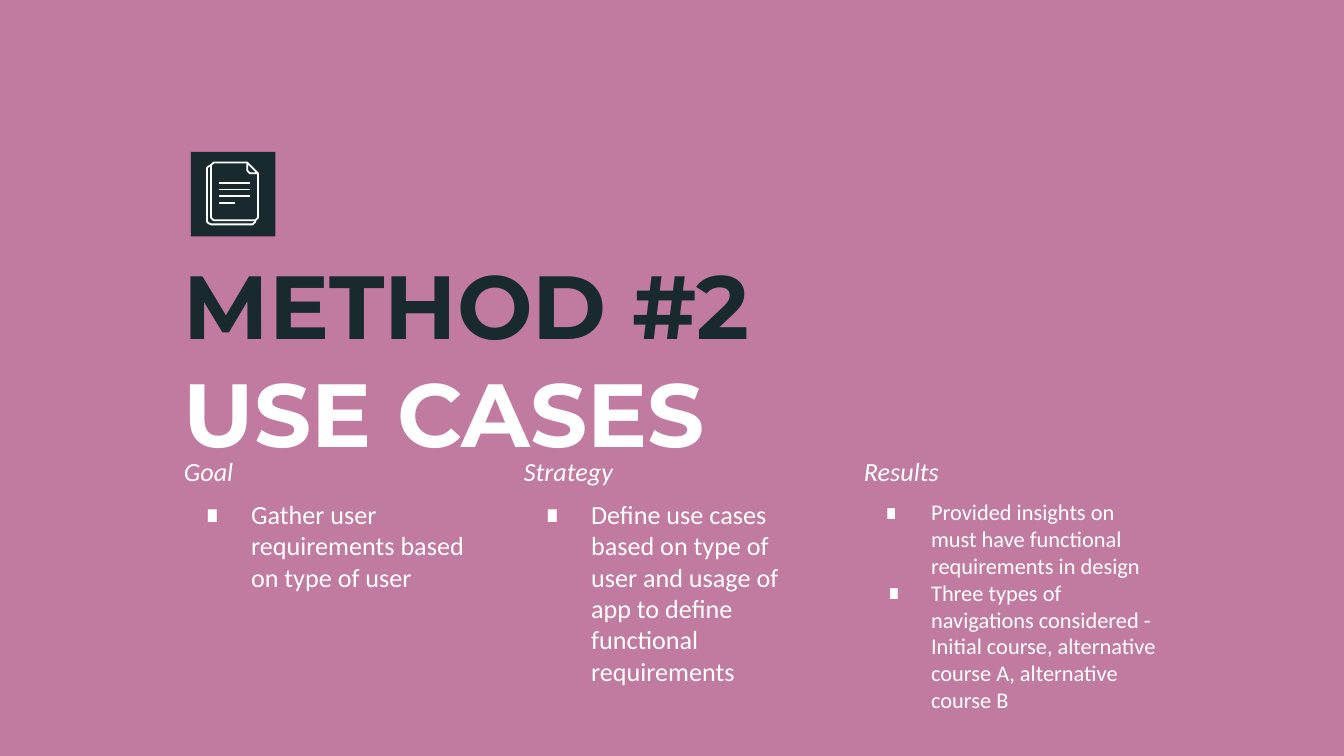
"""Build the slide on method #2, use cases."""
from dataclasses import dataclass

from lxml import etree
from pptx import Presentation
from pptx import util as u
from pptx.dml.color import RGBColor
from pptx.enum import shapes, text
from pptx.oxml import ns


@dataclass(frozen=True)
class Theme:
    back: str = "C27BA0"
    dark: str = "182A2E"
    light: str = "FFFFFF"
    head: str = "Montserrat"
    body: str = "Calibri"
    title: int = 48
    label: int = 14
    small: int = 12
    line: float = 0.96


THEME = Theme()


@dataclass(frozen=True)
class Item:
    words: str
    size: int = THEME.label
    hang: float = 0.35
    space: int = 6


@dataclass(frozen=True)
class Column:
    label: str
    items: tuple[Item, ...]


@dataclass(frozen=True)
class Outline:
    points: tuple[tuple[int, int], ...]
    closed: bool = False


COLUMNS = (
    Column("Goal", (Item("Gather user requirements based on type of user"),)),
    Column("Strategy", (Item("Define use cases based on type of user and usage of app "
                             "to define functional requirements"),)),
    Column("Results", (
        Item("Provided insights on must have functional requirements in design",
             THEME.small),
        Item("Three types of navigations considered - Initial course, "
             "alternative course A, alternative course B", THEME.small, 0.33, 0),
    )),
)
PAGES = (
    Outline(((190, 164), (190, 165), (189, 166), (188, 167), (157, 167), (155, 166),
             (154, 165), (154, 125), (155, 124), (157, 123))),
    Outline(((192, 129), (192, 162), (191, 163), (190, 164), (159, 164), (158, 163),
             (157, 162), (157, 123), (158, 122), (159, 121), (184, 121))),
    Outline(((184, 127), (184, 121), (192, 129), (186, 129), (185, 128)), True),
)
RULES = (1.86, 1.86, 1.86, 1.75)


def color(code: str) -> RGBColor:
    """Turn a hex code into a colour."""
    return RGBColor.from_string(code)


def frame(slide, left: float, top: float, width: float, height: float):
    """Add a wrapped text box with even insets."""
    box = slide.shapes.add_textbox(*map(u.Inches, (left, top, width, height)))
    area = box.text_frame
    area.word_wrap = True
    area.vertical_anchor = text.MSO_ANCHOR.TOP
    area.margin_left = area.margin_right = u.Inches(0.1)
    area.margin_top = area.margin_bottom = u.Inches(0.1)
    return area


def write(area, words: str, *, font: str, size: int, tint: str, bold: bool = False,
          slant: bool = False, space: int = 0, hang: float = 0) -> None:
    """Write one paragraph, with a bullet if it hangs."""
    para = area.paragraphs[0] if not area.text else area.add_paragraph()
    if hang:
        props = para._p.get_or_add_pPr()
        props.set("marL", str(u.Inches(0.5)))
        props.set("indent", str(-u.Inches(hang)))
        shade = etree.SubElement(props, ns.qn("a:buClr"))
        etree.SubElement(shade, ns.qn("a:srgbClr"), val=tint)
        etree.SubElement(props, ns.qn("a:buFont"), typeface=font)
        etree.SubElement(props, ns.qn("a:buChar"), char="∎")
    para.space_before = u.Pt(space)
    run = para.add_run()
    run.text = words
    run.font.name, run.font.size = font, u.Pt(size)
    run.font.bold, run.font.italic = bold, slant
    run.font.color.rgb = color(tint)


def stroke(shape) -> None:
    """Give a shape the thin icon line."""
    shape.line.color.rgb = color(THEME.light)
    shape.line.width = u.Pt(THEME.line)


def trace(slide, outline: Outline) -> None:
    """Draw an unfilled outline given in hundredths of an inch."""
    first, *rest = outline.points
    pen = slide.shapes.build_freeform(*first, scale=u.Inches(0.01))
    pen.add_line_segments(rest, close=outline.closed)
    shape = pen.convert_to_shape()
    shape.shadow.inherit = False
    shape.fill.background()
    stroke(shape)


def rule(slide, right: float, top: float) -> None:
    """Draw one text line of the icon."""
    ends = map(u.Inches, (right, top, 1.63, top))
    line = slide.shapes.add_connector(shapes.MSO_CONNECTOR.STRAIGHT, *ends)
    etree.SubElement(line._element.spPr, ns.qn("a:effectLst"))
    stroke(line)


def icon(slide) -> None:
    """Draw the document icon on its dark tile."""
    tile = slide.shapes.add_shape(shapes.MSO_SHAPE.RECTANGLE,
                                  *map(u.Inches, (1.42, 1.13, 0.63, 0.63)))
    tile.shadow.inherit = False
    tile.fill.solid()
    tile.fill.fore_color.rgb = color(THEME.dark)
    tile.line.fill.background()
    for page in PAGES:
        trace(slide, page)
    for row, right in enumerate(RULES):
        rule(slide, right, 1.36 + 0.05 * row)


def column(slide, left: float, data: Column) -> None:
    """Write a label and its bullets."""
    area = frame(slide, left, 3.29, 2.4, 2.18)
    write(area, data.label, font=THEME.body, size=THEME.label, tint=THEME.light,
          slant=True)
    for item in data.items:
        write(area, item.words, font=THEME.body, size=item.size, tint=THEME.light,
              space=item.space, hang=item.hang)


def main() -> None:
    """Build and save the slide."""
    deck = Presentation()
    deck.slide_width, deck.slide_height = u.Inches(10), u.Inches(10 * 9 / 16)
    slide = deck.slides.add_slide(deck.slide_layouts[6])
    slide.background.fill.solid()
    slide.background.fill.fore_color.rgb = color(THEME.back)
    icon(slide)
    title = frame(slide, 1.27, 1.76, 7.45, 2.11)
    for words, tint in (("METHOD #2", THEME.dark), ("USE CASES", THEME.light)):
        write(title, words, font=THEME.head, size=THEME.title, tint=tint, bold=True)
    for index, data in enumerate(COLUMNS):
        column(slide, 1.27 + 2.53 * index, data)
    deck.save("out.pptx")


if __name__ == "__main__":
    main()
